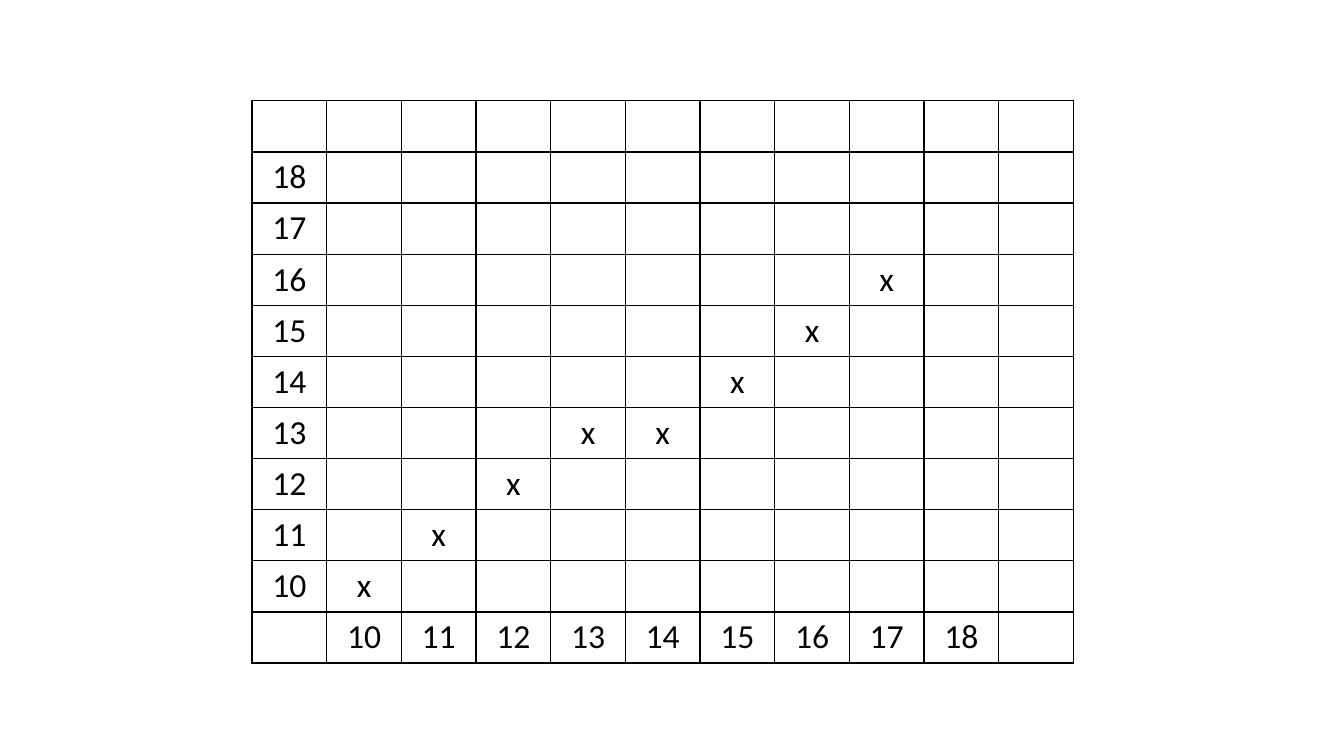
from lxml.etree import SubElement
from pptx import Presentation
from pptx.dml.color import RGBColor
from pptx.enum.text import PP_ALIGN
from pptx.oxml.ns import qn
from pptx.util import Inches, Pt

COLORS = {"ink": "000000"}
SIZE = 11
LOW, HIGH = 10, 18
LAST = SIZE - 1
MARKS = {10: 10, 11: 11, 12: 12, 13: 13, 14: 13, 15: 14, 16: 15, 17: 16}


def outline(cell):
    """Draw a thin line on all four sides of a cell."""
    props = cell._tc.get_or_add_tcPr()
    for index, side in enumerate(("lnL", "lnR", "lnT", "lnB")):
        line = SubElement(props, qn(f"a:{side}"), w=str(Pt(1)))
        props.remove(line)
        props.insert(index, line)
        fill = SubElement(line, qn("a:solidFill"))
        SubElement(fill, qn("a:srgbClr"), val=COLORS["ink"])


deck = Presentation()
deck.slide_width, deck.slide_height = Inches(13.33), Inches(7.5)
slide = deck.slides.add_slide(deck.slide_layouts[6])

# Labels run up the first column and along the bottom row
texts = {}
for value in range(LOW, HIGH + 1):
    step = value - LOW + 1
    texts[LAST - step, 0] = str(value)
    texts[LAST, step] = str(value)
for across, up in MARKS.items():
    texts[LAST - (up - LOW + 1), across - LOW + 1] = "x"

grid = slide.shapes.add_table(
    SIZE, SIZE, Inches(2.5), Inches(1), Inches(8.15), Inches(5.58)
).table
grid.first_row = grid.horz_banding = False

for row in range(SIZE):
    for col in range(SIZE):
        cell = grid.cell(row, col)
        cell.fill.background()
        outline(cell)
        cell.text = texts.get((row, col), "")
        label = cell.text_frame.paragraphs[0]
        label.alignment = PP_ALIGN.CENTER
        label.font.name = "Calibri"
        label.font.size = Pt(24)
        label.font.color.rgb = RGBColor.from_string(COLORS["ink"])

deck.save("out.pptx")
